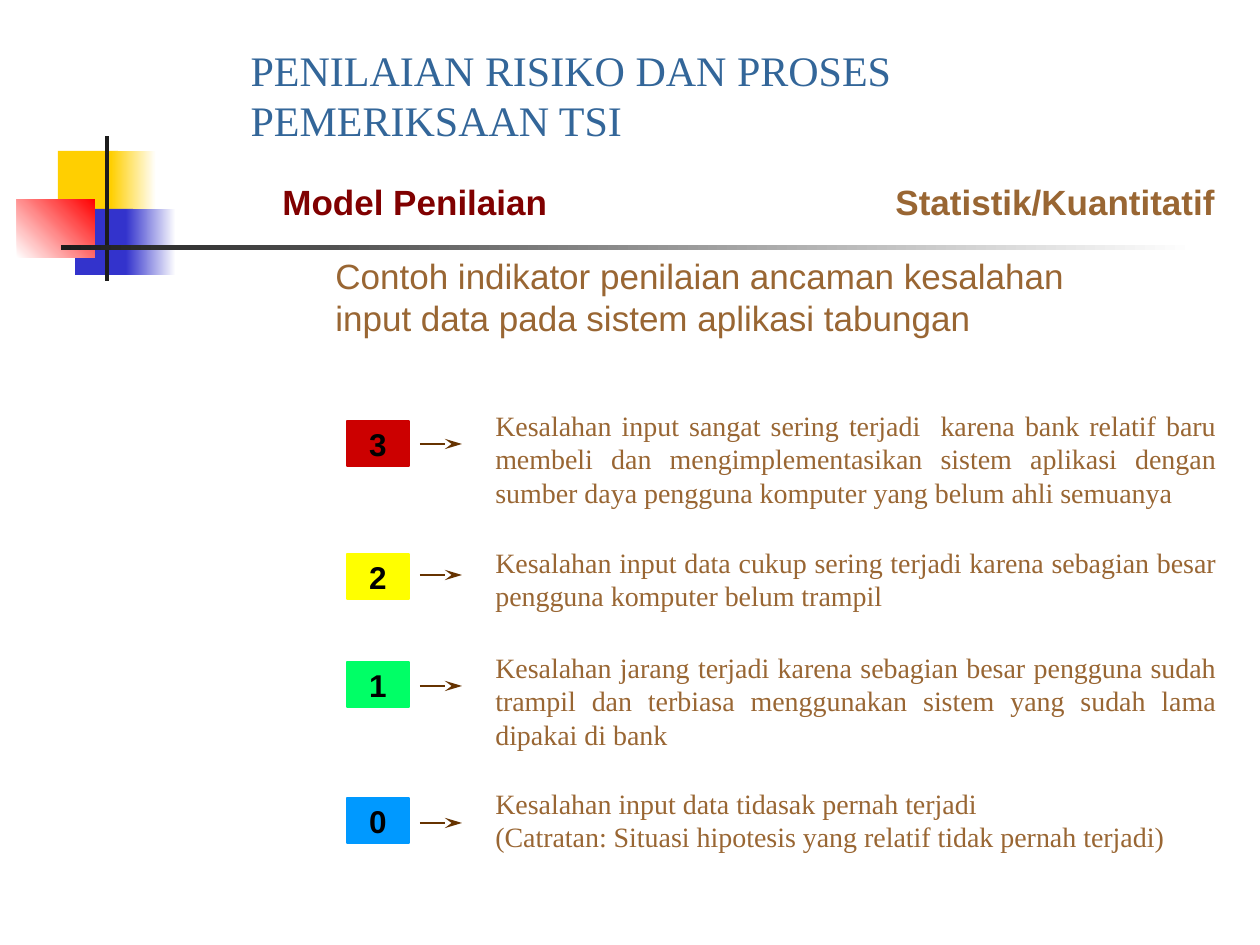
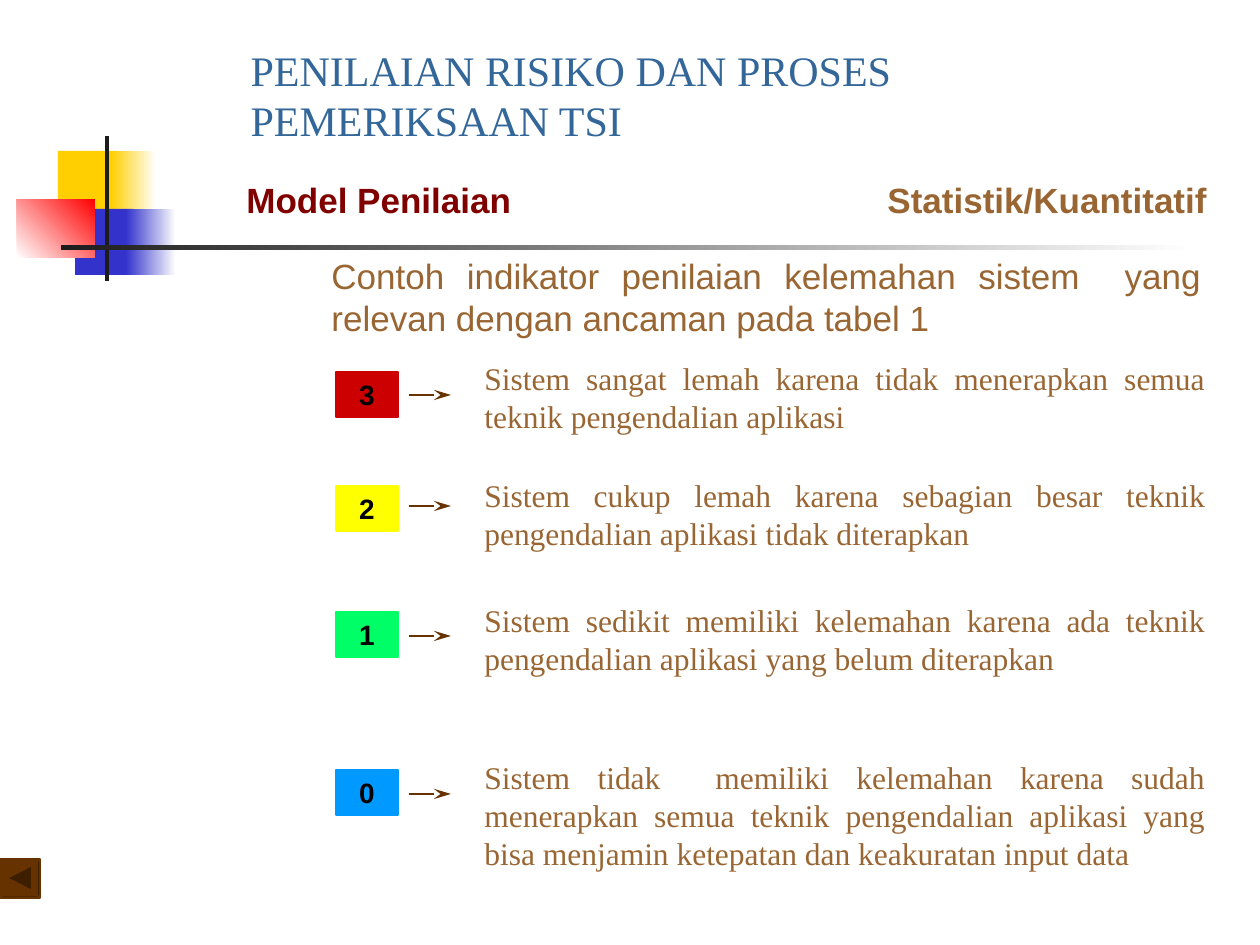
from lxml import etree
from pptx import Presentation
from pptx.dml.color import RGBColor
from pptx.enum.shapes import MSO_CONNECTOR, MSO_SHAPE
from pptx.enum.text import MSO_ANCHOR, MSO_AUTO_SIZE, PP_ALIGN
from pptx.oxml.ns import qn
from pptx.util import Emu, Pt

PX = 914400 // 126
SANS = "Arial"
SERIF = "Times New Roman"

WHITE = RGBColor(0xFF, 0xFF, 0xFF)
BLACK = RGBColor(0x00, 0x00, 0x00)
GOLD = RGBColor(0xFF, 0xCF, 0x01)
INDIGO = RGBColor(0x33, 0x33, 0xCC)
BRIGHT_RED = RGBColor(0xFF, 0x00, 0x00)
CHARCOAL = RGBColor(0x1C, 0x1C, 0x1C)
STEEL_BLUE = RGBColor(0x33, 0x66, 0x99)
MAROON = RGBColor(0x80, 0x00, 0x00)
TAN = RGBColor(0x99, 0x66, 0x33)
BROWN = RGBColor(0x66, 0x33, 0x00)
DARK_BROWN = RGBColor(0x3D, 0x1F, 0x00)

SCORE_COLORS = {
    3: RGBColor(0xCC, 0x00, 0x00),
    2: RGBColor(0xFF, 0xFF, 0x00),
    1: RGBColor(0x00, 0xFF, 0x66),
    0: RGBColor(0x00, 0x99, 0xFF),
}

TITLE = "PENILAIAN RISIKO DAN PROSES PEMERIKSAAN TSI"

# Each score row: score, badge top, arrow height, text top, text height, text
THREAT_ROWS = [
    (3, 421, 444, 402, 113,
     "Kesalahan input sangat sering terjadi  karena bank relatif baru membeli dan "
     "mengimplementasikan sistem aplikasi dengan sumber daya pengguna komputer "
     "yang belum ahli semuanya"),
    (2, 554, 575, 539, 81,
     "Kesalahan input data cukup sering terjadi karena sebagian besar pengguna "
     "komputer belum trampil"),
    (1, 662, 686, 644, 113,
     "Kesalahan jarang terjadi karena sebagian besar pengguna sudah trampil dan "
     "terbiasa menggunakan sistem yang sudah lama dipakai di bank"),
    (0, 798, 823, 780, 81,
     "Kesalahan input data tidasak pernah terjadi\n"
     "(Catratan: Situasi hipotesis yang relatif tidak pernah terjadi)"),
]
WEAKNESS_ROWS = [
    (3, 372, 395, 353, 88,
     "Sistem sangat lemah karena tidak menerapkan semua teknik pengendalian aplikasi"),
    (2, 486, 506, 470, 88,
     "Sistem cukup lemah karena sebagian besar teknik pengendalian aplikasi "
     "tidak diterapkan"),
    (1, 612, 636, 595, 88,
     "Sistem sedikit memiliki kelemahan karena ada teknik pengendalian aplikasi "
     "yang belum diterapkan"),
    (0, 770, 794, 752, 126,
     "Sistem tidak  memiliki kelemahan karena sudah menerapkan semua teknik "
     "pengendalian aplikasi yang bisa menjamin ketepatan dan keakuratan input data"),
]


def scaled(*lengths):
    return [Emu(length * PX) for length in lengths]


def format_text(frame, font_name, size, color, bold=False, align=PP_ALIGN.LEFT):
    for paragraph in frame.paragraphs:
        paragraph.alignment = align
        for span in paragraph.runs:
            span.font.name = font_name
            span.font.size = Pt(size)
            span.font.bold = bold
            span.font.color.rgb = color


def add_text(page, area, text, font_name, size, color, bold=False,
             align=PP_ALIGN.LEFT, wrap=True):
    frame = page.shapes.add_textbox(*scaled(*area)).text_frame
    frame.word_wrap = wrap
    frame.auto_size = MSO_AUTO_SIZE.SHAPE_TO_FIT_TEXT
    frame.text = text
    format_text(frame, font_name, size, color, bold, align)


def add_block(page, area, color, fade_to=None, angle=0, kind=MSO_SHAPE.RECTANGLE):
    """Add a borderless shape, solid or fading to a second colour."""
    block = page.shapes.add_shape(kind, *scaled(*area))
    block.shadow.inherit = False
    block.line.fill.background()
    if fade_to is None:
        block.fill.solid()
        block.fill.fore_color.rgb = color
    else:
        block.fill.gradient()
        block.fill.gradient_angle = angle
        for stop, stop_color in zip(block.fill.gradient_stops, (color, fade_to)):
            stop.color.rgb = stop_color
    return block


def outline(shape, color):
    shape.line.color.rgb = color
    shape.line.width = Pt(1)


def add_ornament(page):
    add_block(page, (58, 151, 60, 66), GOLD)
    add_block(page, (111, 151, 45, 66), GOLD, WHITE)
    add_block(page, (75, 209, 58, 66), INDIGO)
    add_block(page, (126, 209, 50, 66), INDIGO, WHITE)
    add_block(page, (17, 199, 78, 59), WHITE, BRIGHT_RED, 45)
    add_block(page, (105, 136, 4, 145), CHARCOAL)
    add_block(page, (61, 245, 1134, 5), CHARCOAL, WHITE)


def set_title(page):
    title = page.shapes.title
    title.left, title.top, title.width, title.height = scaled(238, 38, 948, 57)
    frame = title.text_frame
    frame.word_wrap = False
    frame.auto_size = MSO_AUTO_SIZE.NONE
    frame.vertical_anchor = MSO_ANCHOR.TOP
    frame.text = TITLE
    format_text(frame, SERIF, 24, STEEL_BLUE)


def add_headings(page, model_left, method_left, top):
    add_text(page, (model_left, top, 291, 54), "Model Penilaian",
             SANS, 20, MAROON, bold=True, wrap=False)
    add_text(page, (method_left, top, 345, 54), "Statistik/Kuantitatif",
             SANS, 20, TAN, bold=True, wrap=False)


def add_badge(page, left, top, score, size):
    color = SCORE_COLORS[score]
    badge = add_block(page, (left, top, 62, 45), color)
    outline(badge, color)
    frame = badge.text_frame
    frame.word_wrap = False
    frame.vertical_anchor = MSO_ANCHOR.MIDDLE
    frame.text = str(score)
    format_text(frame, SANS, size, BLACK, bold=True, align=PP_ALIGN.CENTER)


def add_arrow(page, left, y):
    arrow = page.shapes.add_connector(
        MSO_CONNECTOR.STRAIGHT, *scaled(left, y, left + 42, y))
    outline(arrow, BROWN)
    etree.SubElement(arrow.line._get_or_add_ln(), qn("a:tailEnd"),
                     type="stealth", w="med", len="lg")
    etree.SubElement(arrow._element.spPr, qn("a:effectLst"))


def add_score_rows(page, left, rows, badge_size, text_size):
    for score, badge_top, arrow_y, text_top, height, text in rows:
        add_badge(page, left, badge_top, score, badge_size)
        add_arrow(page, left + 73, arrow_y)
        add_text(page, (left + 136, text_top, 746, height), text,
                 SERIF, text_size, TAN, align=PP_ALIGN.JUSTIFY)


def add_back_button(page):
    button = add_block(page, (0, 859, 40, 39), BROWN, kind=MSO_SHAPE.BEVEL)
    button.adjustments[0] = 0.06
    outline(button, BROWN)
    pointer = add_block(page, (9, 867, 22, 22), DARK_BROWN,
                        kind=MSO_SHAPE.ISOSCELES_TRIANGLE)
    pointer.rotation = 270


def add_page(deck, intro_area, intro):
    page = deck.slides.add_slide(deck.slide_layouts[5])
    add_ornament(page)
    set_title(page)
    add_text(page, intro_area, intro, SANS, 20, TAN, align=PP_ALIGN.JUSTIFY)
    return page


def main():
    deck = Presentation()
    deck.slide_width, deck.slide_height = scaled(1260, 945)

    threats = add_page(deck, (323, 248, 760, 97),
                       "Contoh indikator penilaian ancaman kesalahan\n"
                       "input data pada sistem aplikasi tabungan")
    add_headings(threats, 270, 883, 174)
    add_score_rows(threats, 347, THREAT_ROWS, 18, 16)

    weaknesses = add_page(deck, (319, 248, 895, 97),
                          "Contoh indikator penilaian kelemahan sistem  yang "
                          "relevan dengan ancaman pada tabel 1")
    add_headings(weaknesses, 234, 875, 172)
    add_score_rows(weaknesses, 336, WEAKNESS_ROWS, 16, 18)
    add_back_button(weaknesses)

    deck.save("out.pptx")


if __name__ == "__main__":
    main()
